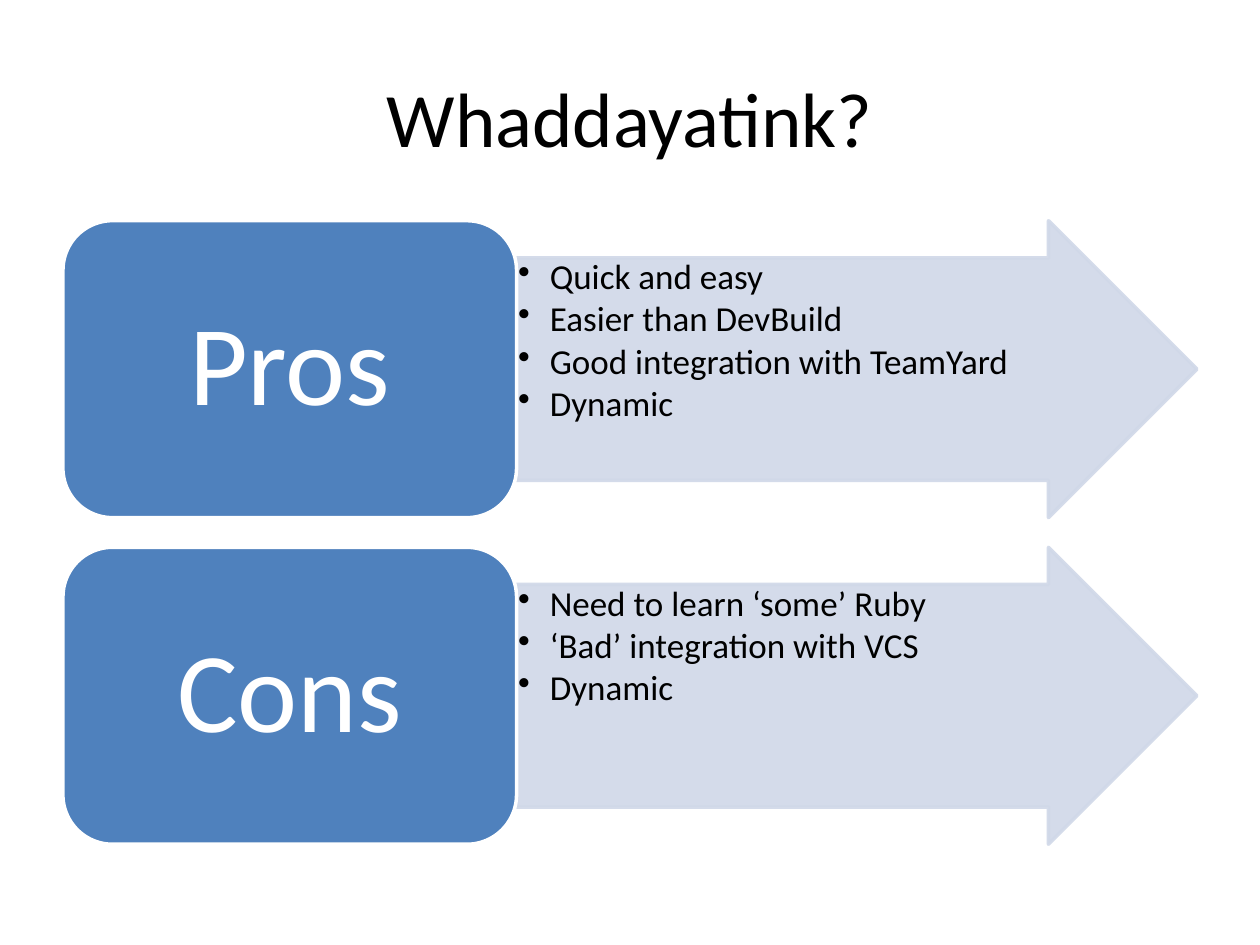
import dataclasses

import pptx
import pptx.dml.color
import pptx.enum.shapes
import pptx.enum.text
import pptx.oxml
import pptx.oxml.ns
import pptx.util

Cm = pptx.util.Cm
Pt = pptx.util.Pt
Color = pptx.dml.color.RGBColor
Shape = pptx.enum.shapes.MSO_SHAPE
Anchor = pptx.enum.text.MSO_ANCHOR
Align = pptx.enum.text.PP_ALIGN


@dataclasses.dataclass(frozen=True)
class Theme:
    font: str = "Calibri"
    text: Color = Color(0, 0, 0)
    label_text: Color = Color(255, 255, 255)
    label: Color = Color(0x4F, 0x81, 0xBD)
    arrow: Color = Color(0xD0, 0xD8, 0xE8)
    arrow_opacity: int = 90
    line_width: float = 2
    title_size: float = 44
    label_size: float = 65
    bullet_size: float = 20


THEME = Theme()
TITLE = "Whaddayatink?"
ARGUMENTS = {
    "Pros": ["Quick and easy", "Easier than DevBuild",
             "Good integration with TeamYard", "Dynamic"],
    "Cons": ["Need to learn ‘some’ Ruby",
             "‘Bad’ integration with VCS", "Dynamic"],
}


def set_font(paragraph, size, color):
    paragraph.font.name = THEME.font
    paragraph.font.size = Pt(size)
    paragraph.font.color.rgb = color


def set_frame(frame, anchor, horizontal, vertical):
    frame.word_wrap = True
    frame.vertical_anchor = anchor
    frame.margin_left = frame.margin_right = Cm(horizontal)
    frame.margin_top = frame.margin_bottom = Cm(vertical)


def set_opacity(shape, percent):
    for color in shape._element.spPr.iter(pptx.oxml.ns.qn("a:srgbClr")):
        color.append(pptx.oxml.parse_xml(
            f'<a:alpha {pptx.oxml.ns.nsdecls("a")} val="{percent * 1000}"/>'))


def add_bullet(paragraph, indent):
    properties = paragraph._p.get_or_add_pPr()
    properties.set("marL", str(indent))
    properties.set("indent", str(-indent))
    properties.append(pptx.oxml.parse_xml(
        f'<a:buChar {pptx.oxml.ns.nsdecls("a")} char="•"/>'))


def add_panel(slide, kind, left, top, width, height, fill, line):
    shape = slide.shapes.add_shape(
        kind, Cm(left), Cm(top), Cm(width), Cm(height))
    shape.shadow.inherit = False
    shape.fill.solid()
    shape.fill.fore_color.rgb = fill
    shape.line.color.rgb = line
    shape.line.width = Pt(THEME.line_width)
    return shape


def add_title(slide, left, top, width, height):
    box = slide.shapes.add_textbox(Cm(left), Cm(top), Cm(width), Cm(height))
    set_frame(box.text_frame, Anchor.MIDDLE, 0.25, 0.13)
    paragraph = box.text_frame.paragraphs[0]
    paragraph.text = TITLE
    paragraph.alignment = Align.CENTER
    set_font(paragraph, THEME.title_size, THEME.text)


def add_argument(slide, label, points, left, top, width, height):
    label_width = 0.4 * width

    # Arrow with its bullet list
    arrow = add_panel(slide, Shape.RIGHT_ARROW, left + label_width, top,
                      width - label_width, height, THEME.arrow, THEME.arrow)
    arrow.adjustments[0] = 0.75
    arrow.adjustments[1] = 0.5
    set_opacity(arrow, THEME.arrow_opacity)
    frame = arrow.text_frame
    set_frame(frame, Anchor.TOP, 0.03, 0.03)
    frame.text = "\n".join(points)
    for paragraph in frame.paragraphs:
        paragraph.alignment = Align.LEFT
        paragraph.line_spacing = 0.9
        paragraph.space_after = Pt(2.6)
        set_font(paragraph, THEME.bullet_size, THEME.text)
        add_bullet(paragraph, Cm(0.64))

    # Rounded label
    panel = add_panel(slide, Shape.ROUNDED_RECTANGLE, left, top, label_width,
                      height, THEME.label, THEME.label_text)
    set_frame(panel.text_frame, Anchor.MIDDLE, 0.69, 0.34)
    paragraph = panel.text_frame.paragraphs[0]
    paragraph.text = label
    paragraph.alignment = Align.CENTER
    paragraph.line_spacing = 0.9
    set_font(paragraph, THEME.label_size, THEME.label_text)


def add_arguments(slide, left, top, width, height):
    # Rows are separated by a tenth of their height
    count = len(ARGUMENTS)
    row_height = height / (count + 0.1 * (count - 1))
    for index, (label, points) in enumerate(ARGUMENTS.items()):
        add_argument(slide, label, points, left,
                     top + index * 1.1 * row_height, width, row_height)


presentation = pptx.Presentation()
presentation.slide_width = Cm(25.4)
presentation.slide_height = Cm(19.05)
slide = presentation.slides.add_slide(presentation.slide_layouts[6])
add_title(slide, 1.27, 0.76, 22.86, 3.18)
add_arguments(slide, 1.27, 4.45, 22.86, 12.57)
presentation.save("out.pptx")
